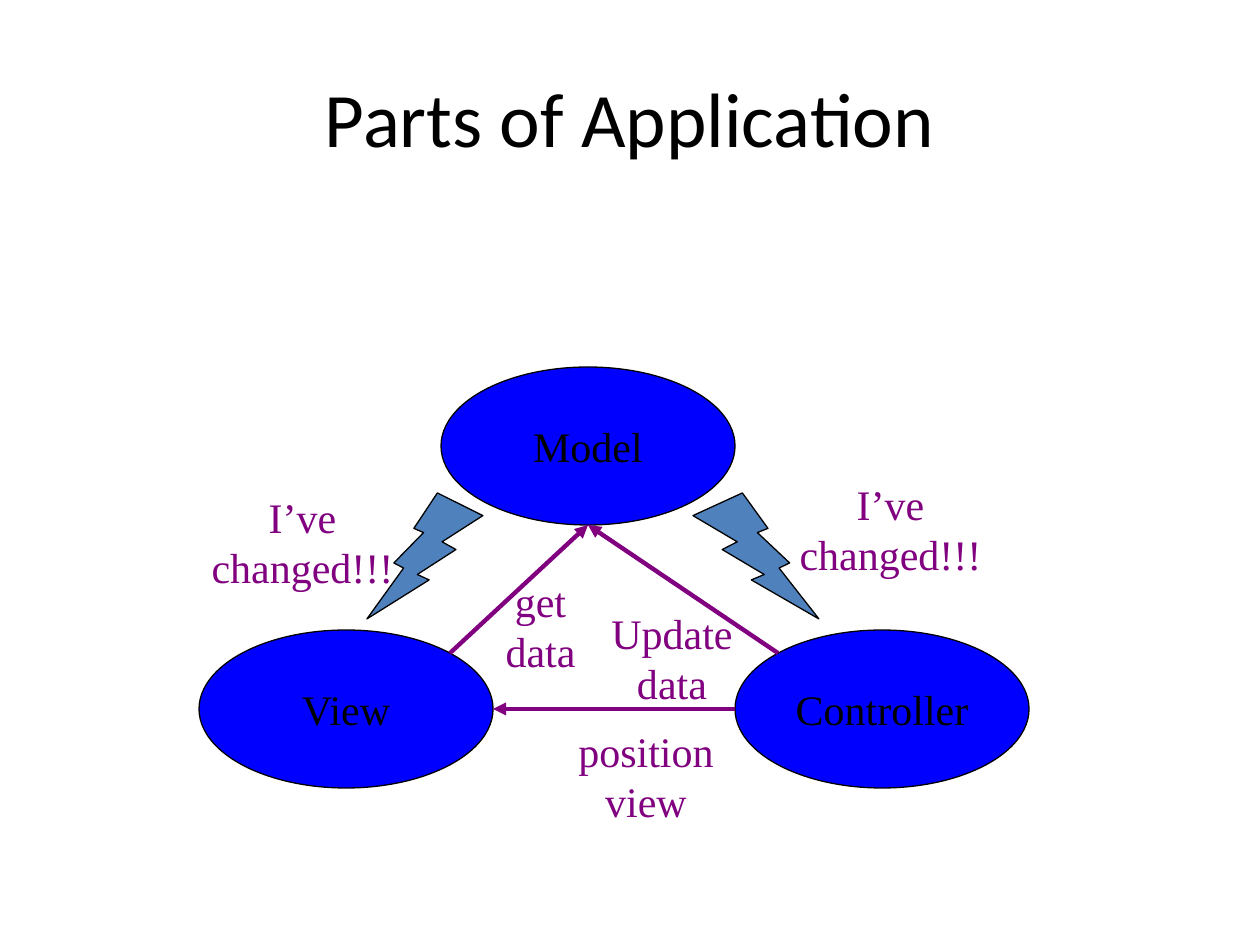
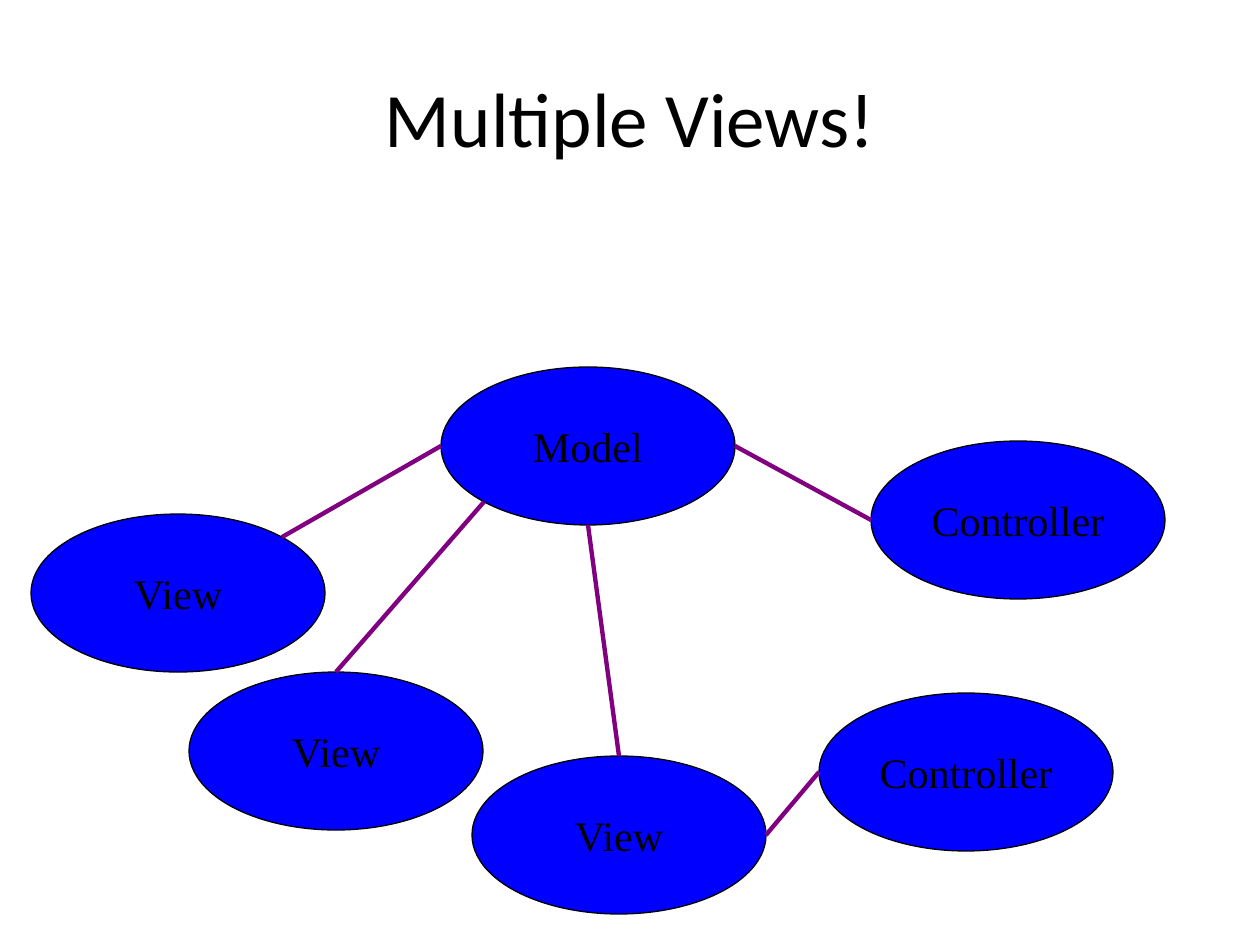
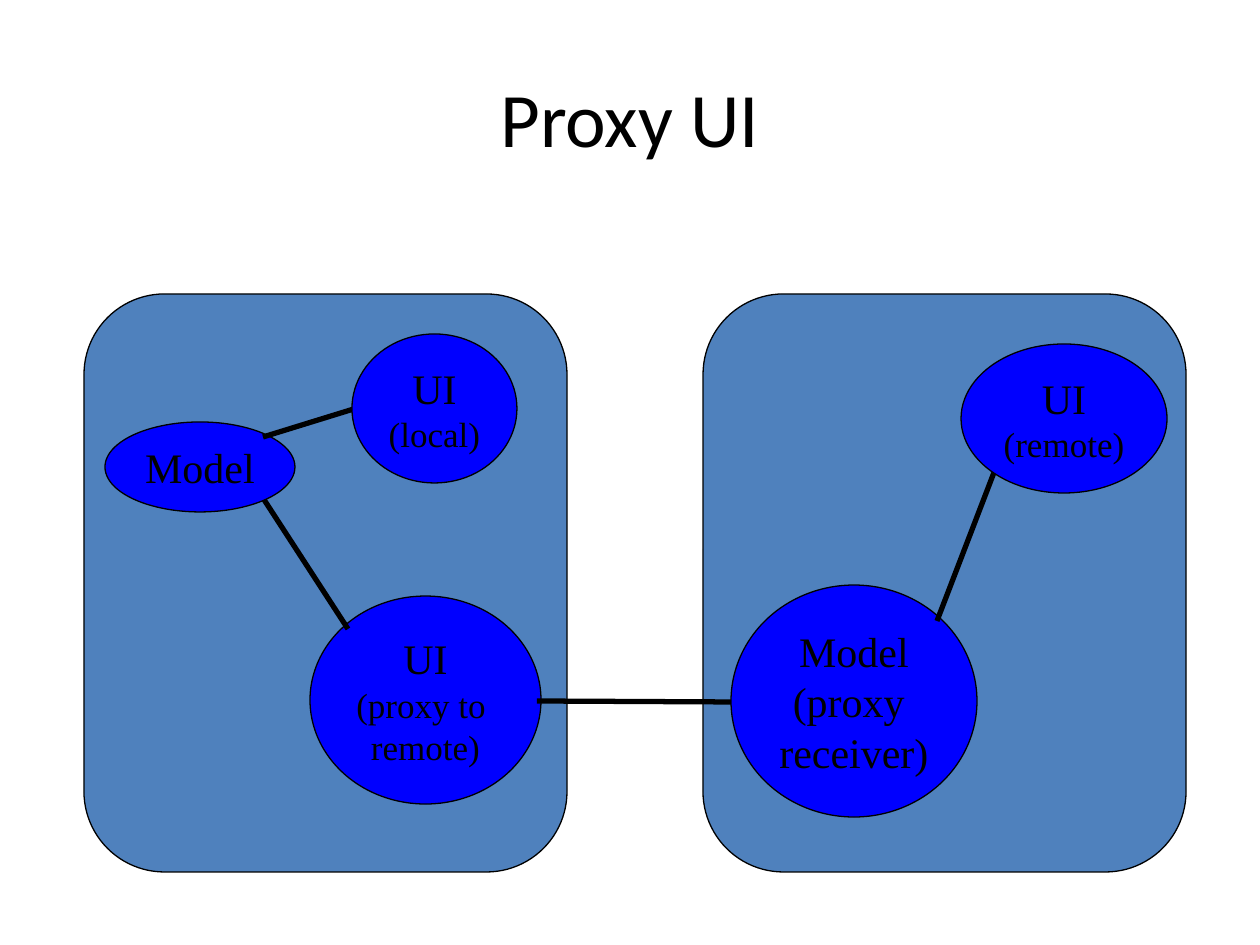
from math import cos, radians, sin

from lxml import etree
from pptx import Presentation
from pptx.dml.color import RGBColor
from pptx.enum.shapes import MSO_CONNECTOR, MSO_SHAPE
from pptx.enum.text import MSO_ANCHOR, MSO_AUTO_SIZE, PP_ALIGN
from pptx.oxml.ns import qn
from pptx.util import Emu, Pt

ELLIPSE = MSO_SHAPE.OVAL
BOLT = MSO_SHAPE.LIGHTNING_BOLT
PANEL = MSO_SHAPE.ROUNDED_RECTANGLE
STRAIGHT = MSO_CONNECTOR.STRAIGHT
MIDDLE = MSO_ANCHOR.MIDDLE
TOP = MSO_ANCHOR.TOP
CENTER = PP_ALIGN.CENTER
GROW = MSO_AUTO_SIZE.SHAPE_TO_FIT_TEXT

SCALE = 914400 / 126
TITLE_ONLY = 5
NODE_SIZE = (294, 158)
LABEL_HEIGHT = 113
ANGLES = {"right": 0, "bottom right": 45, "bottom": 90, "bottom left": 135,
          "left": 180, "top left": 225, "top": 270, "top right": 315}


def px(length):
    return Emu(round(length * SCALE))


def rgb(color):
    return RGBColor.from_string(color)


def write(frame, text, font="Times New Roman", size=24, small=None,
          color="000000", anchor=MIDDLE, wrap=False):
    frame.word_wrap = wrap
    frame.vertical_anchor = anchor
    for index, line in enumerate(text.split("\n")):
        paragraph = frame.paragraphs[0] if index == 0 else frame.add_paragraph()
        paragraph.alignment = CENTER
        run = paragraph.add_run()
        run.text = line
        run.font.name = font
        run.font.size = Pt(small if small and index else size)
        run.font.color.rgb = rgb(color)


def site(box, side):
    left, top, width, height = box
    angle = radians(ANGLES[side])
    return (left + width / 2 * (1 + cos(angle)),
            top + height / 2 * (1 + sin(angle)))


class Deck:
    blue = "0000FF"
    steel = "4F81BD"
    purple = "800080"
    black = "000000"

    def __init__(self):
        self.presentation = Presentation()
        self.presentation.slide_width = px(1260)
        self.presentation.slide_height = px(945)
        self.slide = None

    def start(self, heading):
        layout = self.presentation.slide_layouts[TITLE_ONLY]
        self.slide = self.presentation.slides.add_slide(layout)
        title = self.slide.shapes.title
        title.left, title.top, title.width, title.height = map(px, (63, 38, 1134, 158))
        write(title.text_frame, heading, font="Calibri", size=44, wrap=True)

    def outline(self, preset, box, fill):
        shape = self.slide.shapes.add_shape(preset, *map(px, box))
        shape.shadow.inherit = False
        shape.fill.solid()
        shape.fill.fore_color.rgb = rgb(fill)
        shape.line.color.rgb = rgb(self.black)
        shape.line.width = Pt(0.74)
        return shape

    def node(self, text, left, top, size=NODE_SIZE, small=None):
        box = (left, top, *size)
        write(self.outline(ELLIPSE, box, self.blue).text_frame, text, small=small)
        return box

    def panel(self, box):
        self.outline(PANEL, box, self.steel)

    def bolt(self, box, mirrored=False):
        shape = self.outline(BOLT, box, self.steel)
        if mirrored:
            shape.element.spPr.find(qn("a:xfrm")).set("flipH", "1")

    def label(self, text, left, top, width):
        textbox = self.slide.shapes.add_textbox(*map(px, (left, top, width, LABEL_HEIGHT)))
        write(textbox.text_frame, text, color=self.purple, anchor=TOP)
        textbox.text_frame.auto_size = GROW

    def link(self, start, end, color=purple, width=2.49, arrow=False):
        connector = self.slide.shapes.add_connector(STRAIGHT, *map(px, (*start, *end)))
        connector.line.color.rgb = rgb(color)
        connector.line.width = Pt(width)
        properties = connector.element.spPr
        if arrow:
            etree.SubElement(properties.find(qn("a:ln")), qn("a:tailEnd"), type="triangle")
        etree.SubElement(properties, qn("a:effectLst"))

    def save(self):
        self.presentation.save("out.pptx")


def parts_of_application(deck):
    deck.start("Parts of Application")
    view = deck.node("View", 199, 630)
    controller = deck.node("Controller", 735, 630)
    deck.label("I’ve\nchanged!!!", 786, 472, 209)
    deck.bolt((693, 493, 126, 126))
    deck.label("I’ve\nchanged!!!", 198, 485, 209)
    deck.bolt((367, 493, 116, 126), mirrored=True)
    model = deck.node("Model", 441, 367)
    for start, end in [
        (site(view, "top right"), site(model, "bottom")),
        (site(controller, "left"), site(view, "right")),
        (site(controller, "top left"), site(model, "bottom")),
    ]:
        deck.link(start, end, arrow=True)
    deck.label("get\ndata", 492, 569, 97)
    deck.label("position\nview", 564, 719, 164)
    deck.label("Update\ndata", 597, 601, 150)


def multiple_views(deck):
    deck.start("Multiple Views!")
    left_view = deck.node("View", 31, 514)
    middle_view = deck.node("View", 189, 672)
    right_view = deck.node("View", 472, 756)
    model = deck.node("Model", 441, 367)
    model_controller = deck.node("Controller", 871, 441)
    view_controller = deck.node("Controller", 819, 693)
    for start, start_side, end, end_side in [
        (view_controller, "left", right_view, "right"),
        (model, "bottom", right_view, "top"),
        (model, "bottom left", middle_view, "top"),
        (model, "left", left_view, "top right"),
        (model, "right", model_controller, "left"),
    ]:
        deck.link(site(start, start_side), site(end, end_side))


def proxy_ui(deck):
    def wire(start, end):
        deck.link(start, end, color=deck.black, width=3)

    deck.start("Proxy UI")
    for left in (84, 703):
        deck.panel((left, 294, 483, 578))
    deck.node("UI\n(proxy to \nremote)", 310, 596, (231, 208), small=20)
    wire((263, 498), (348, 629))
    deck.node("Model", 105, 422, (190, 90))
    wire((263, 437), (357, 408))
    wire((735, 702), (537, 701))
    deck.node("Model\n(proxy \nreceiver)", 731, 585, (246, 232))
    wire((937, 621), (995, 470))
    deck.node("UI\n(remote)", 961, 344, (206, 149), small=20)
    deck.node("UI\n(local)", 352, 334, (165, 149), small=20)


deck = Deck()
parts_of_application(deck)
multiple_views(deck)
proxy_ui(deck)
deck.save()
